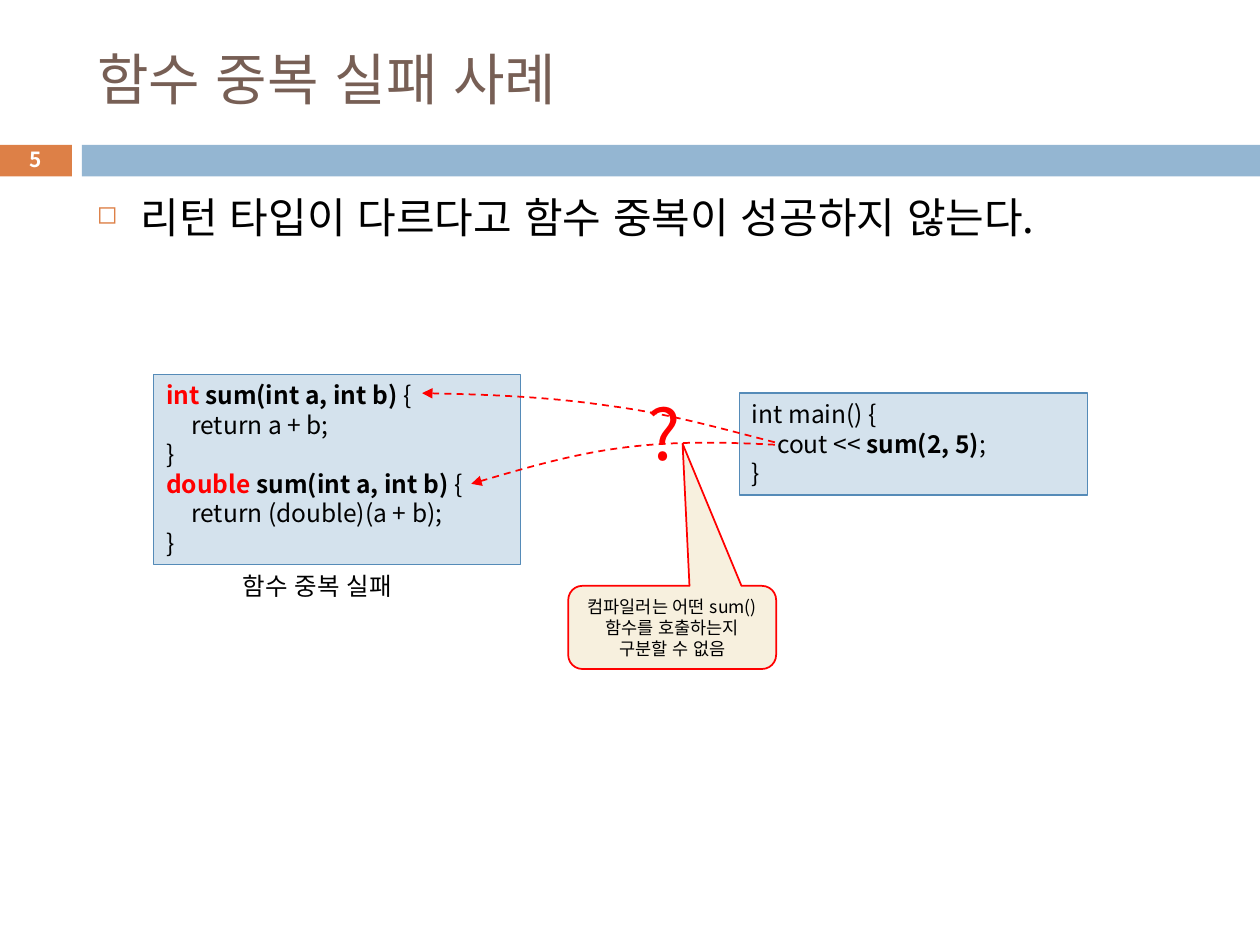
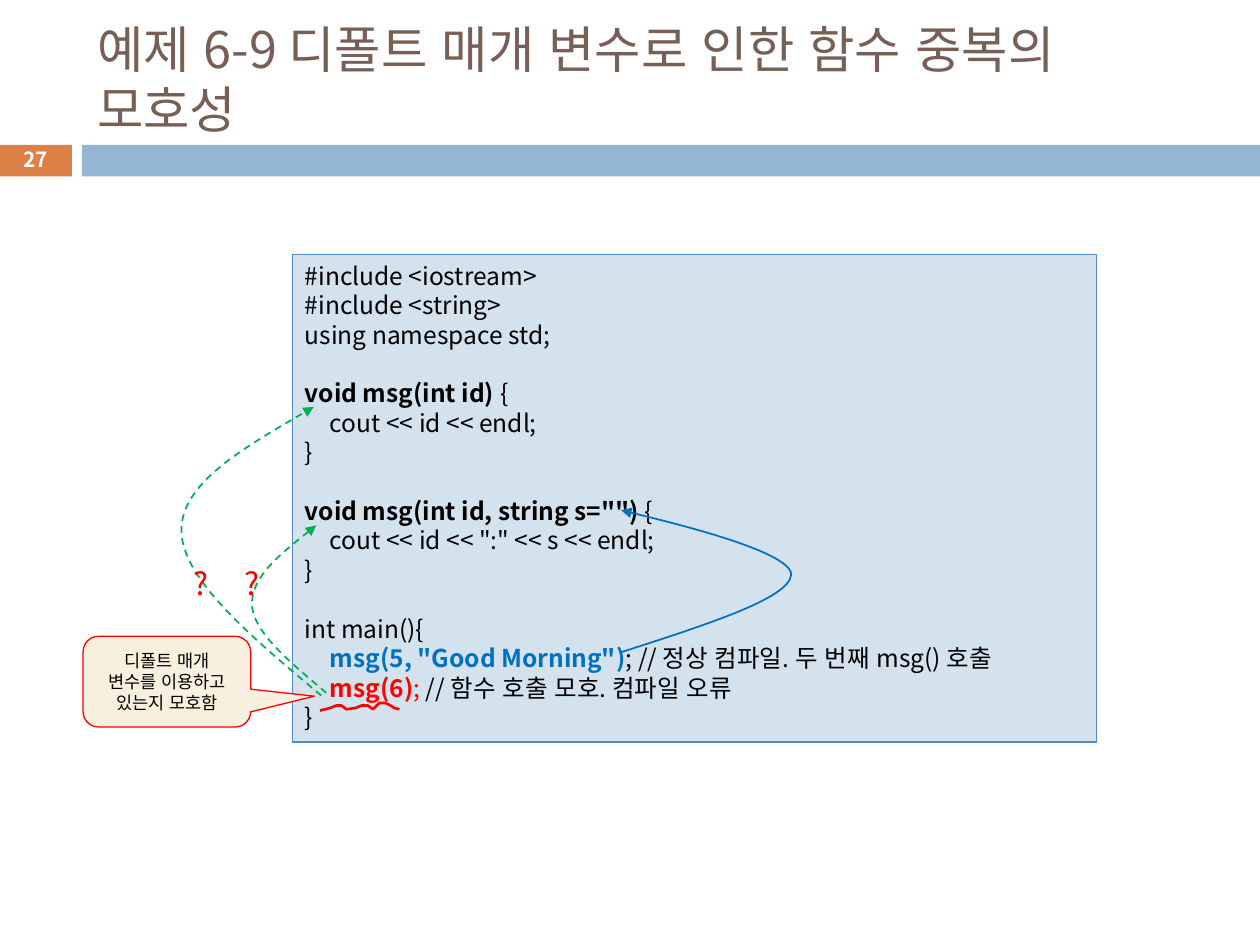
from dataclasses import dataclass

from lxml import etree
from pptx import Presentation
from pptx.dml.color import RGBColor
from pptx.enum.dml import MSO_LINE
from pptx.enum.lang import MSO_LANGUAGE_ID
from pptx.enum.shapes import MSO_SHAPE
from pptx.enum.text import MSO_ANCHOR, MSO_AUTO_SIZE, PP_ALIGN
from pptx.oxml.ns import qn
from pptx.util import Inches, Pt

RECT = MSO_SHAPE.RECTANGLE
CALLOUT = MSO_SHAPE.ROUNDED_RECTANGULAR_CALLOUT
DASH = MSO_LINE.DASH
KOREAN = MSO_LANGUAGE_ID.KOREAN
TOP, MIDDLE = MSO_ANCHOR.TOP, MSO_ANCHOR.MIDDLE
NO_FIT = MSO_AUTO_SIZE.NONE
LEFT, CENTER = PP_ALIGN.LEFT, PP_ALIGN.CENTER
TITLE_ONLY = 5
COLS, ROWS = 100, 75


@dataclass(frozen=True)
class Theme:
    font: str = "Noto Sans CJK KR"
    title: str = "775F55"
    orange: str = "DD8047"
    band: str = "94B6D2"
    code_fill: str = "D4E2ED"
    code_line: str = "558BB8"
    note_fill: str = "F7F0DE"
    black: str = "000000"
    white: str = "FFFFFF"
    red: str = "FF0000"
    blue: str = "0070C0"
    green: str = "00B050"
    title_pt: float = 32
    long_title_pt: float = 28.8
    body_pt: float = 24
    code_pt: float = 14
    note_pt: float = 10
    number_pt: float = 11.9
    mark_pt: float = 18
    big_mark_pt: float = 40
    leading: float = 1.2


def set_all(obj, **values):
    for name, value in values.items():
        setattr(obj, name, value)


class Deck:
    """Draws on the current slide; lengths are columns and rows of the grid."""

    def __init__(self, theme):
        self.theme = theme
        self.prs = Presentation()
        set_all(self.prs, slide_width=Inches(10), slide_height=Inches(7.5))
        self.s = None

    def x(self, cols):
        return round(self.prs.slide_width * cols / COLS)

    def y(self, rows):
        return round(self.prs.slide_height * rows / ROWS)

    def box(self, left, top, width, height):
        return self.x(left), self.y(top), self.x(width), self.y(height)

    def new_slide(self, title, number, size=None):
        t = self.theme
        self.s = self.prs.slides.add_slide(self.prs.slide_layouts[TITLE_ONLY])
        sp = self.s.shapes.title
        left, top, width, height = self.box(6.7, 2.5, 89.2, 7.4)
        set_all(sp, left=left, top=top, width=width, height=height)
        self.fill_text(sp, [title], size or t.title_pt, t.title, anchor=MIDDLE)
        self.shape((-0.1, 11.5, 5.8, 2.5), t.orange)
        self.shape((6.5, 11.5, 93.5, 2.5), t.band)
        self.text((-0.1, 11.3, 5.8, 2.7), [[(number, t.white, True)]],
                  t.number_pt, anchor=MIDDLE, align=CENTER)

    def fill_text(self, sp, lines, size, color=None, anchor=TOP, align=LEFT):
        """Fill sp with lines: a tab indents a line, an empty line adds space."""
        t = self.theme
        tf = sp.text_frame
        set_all(tf, word_wrap=True, auto_size=NO_FIT, vertical_anchor=anchor)
        leading = Pt(size * t.leading)
        gap, p = Pt(0), None
        for line in lines:
            if not line:
                gap = leading
                continue
            p = tf.add_paragraph() if p is not None else tf.paragraphs[0]
            set_all(p, alignment=align, line_spacing=leading, space_before=gap)
            gap = Pt(0)
            runs = [(line, color, False)] if isinstance(line, str) else line
            if runs[0][0].startswith("\t"):
                p._p.get_or_add_pPr().set("marL", str(Inches(0.2)))
            for text, run_color, bold in runs:
                self.run(p, text.lstrip("\t"), size, run_color or t.black, bold)

    def run(self, p, text, size, color, bold):
        r = p.add_run()
        r.text = text
        set_all(r.font, name=self.theme.font, size=Pt(size), bold=bold,
                language_id=KOREAN)
        r.font.color.rgb = RGBColor.from_string(color)
        latin = r.font._element.find(qn("a:latin"))
        ea = etree.Element(qn("a:ea"), typeface=self.theme.font)
        latin.addnext(ea)

    def shape(self, box, fill, line=None, weight=0.75, kind=RECT):
        sp = self.s.shapes.add_shape(kind, *self.box(*box))
        sp.shadow.inherit = False
        sp.fill.solid()
        sp.fill.fore_color.rgb = RGBColor.from_string(fill)
        if line:
            self.stroke(sp, line, weight)
        else:
            sp.line.fill.background()
        return sp

    def stroke(self, sp, color, weight, dash=None):
        sp.line.color.rgb = RGBColor.from_string(color)
        set_all(sp.line, width=Pt(weight), dash_style=dash)

    def text(self, box, lines, size, color=None, **fmt):
        sp = self.s.shapes.add_textbox(*self.box(*box))
        self.fill_text(sp, lines, size, color, **fmt)
        return sp

    def bullet(self, box, text):
        t = self.theme
        sp = self.text(box, [text], t.body_pt)
        pPr = sp.text_frame.paragraphs[0]._p.get_or_add_pPr()
        indent = Inches(0.35)
        pPr.set("marL", str(indent))
        pPr.set("indent", str(-indent))
        clr = etree.SubElement(pPr, qn("a:buClr"))
        etree.SubElement(clr, qn("a:srgbClr"), val=t.orange)
        etree.SubElement(pPr, qn("a:buSzPct"), val="60000")
        etree.SubElement(pPr, qn("a:buChar"), char="◻")

    def code(self, box, lines):
        t = self.theme
        sp = self.shape(box, t.code_fill, t.code_line)
        self.fill_text(sp, lines, t.code_pt)

    def callout(self, box, text, tip, weight):
        t = self.theme
        sp = self.shape(box, t.note_fill, t.red, weight, CALLOUT)
        for i, value in enumerate(tip):
            sp.adjustments[i] = value
        self.fill_text(sp, [text], t.note_pt, anchor=MIDDLE, align=CENTER)

    def outline(self, points, color, weight, dash=None):
        """Open line through the points, without fill."""
        pts = [(self.x(col), self.y(row)) for col, row in points]
        fb = self.s.shapes.build_freeform(*pts[0])
        fb.add_line_segments(pts[1:], close=False)
        sp = fb.convert_to_shape()
        sp.shadow.inherit = False
        sp.fill.background()
        self.stroke(sp, color, weight, dash)
        return sp

    def curved_arrow(self, points, color, dash=None):
        """Bezier arrow: a start, then two handles and an end per segment."""
        sp = self.outline(points, color, 1, dash)
        steps = list(sp._element.iter(qn("a:lnTo")))
        for i in range(0, len(steps), 3):
            curve = etree.Element(qn("a:cubicBezTo"))
            steps[i].addprevious(curve)
            for step in steps[i:i + 3]:
                curve.append(step[0])
                step.getparent().remove(step)
        ln = sp.line._get_or_add_ln()
        etree.SubElement(ln, qn("a:tailEnd"), type="triangle")


def overload_failure(deck):
    t = deck.theme
    deck.new_slide("함수 중복 실패 사례", "5")
    deck.bullet((6.7, 14.7, 89.2, 55.1),
                "리턴 타입이 다르다고 함수 중복이 성공하지 않는다.")

    def signature(return_type):
        return [(return_type, t.red, True), ("sum(int a, int b) ", t.black, True),
                ("{", t.black, False)]

    deck.code((12.2, 29.7, 29.1, 15.1), [
        signature("int "), "\treturn a + b;", "}",
        signature("double "), "\treturn (double)(a + b);", "}"])
    deck.code((58.7, 31.2, 27.6, 8.1), [
        "int main() {",
        [("\tcout << ", t.black, False), ("sum(2, 5)", t.black, True),
         (";", t.black, False)],
        "}"])
    deck.text((18.3, 44.8, 15.2, 3.4), ["함수 중복 실패"], t.code_pt)
    for points in (
            [(61.5, 35.1), (57.2, 34), (53, 32.8), (48.3, 32.2),
             (43.6, 31.5), (38.5, 31.3), (33.5, 31.2)],
            [(61.5, 35.3), (57.6, 35.1), (53.7, 35), (49.7, 35.5),
             (45.6, 36), (41.5, 37.2), (37.4, 38.4)]):
        deck.curved_arrow(points, t.red, DASH)
    deck.callout((45.1, 46.5, 16.5, 6.6),
                 "컴파일러는 어떤 sum() 함수를 호출하는지 구분할 수 없음",
                 (0.05, -2.21, 0.17), 1)
    deck.text((50.4, 30.5, 4.6, 7.7), ["?"], t.big_mark_pt, t.red)


def default_argument_ambiguity(deck):
    t = deck.theme
    deck.new_slide("예제 6-9 디폴트 매개 변수로 인한 함수 중복의 모호성", "27",
                   t.long_title_pt)

    def signature(text):
        return [(text, t.black, True), ("{", t.black, False)]

    deck.code((23.2, 20.2, 63.8, 38.7), [
        "#include <iostream>", "#include <string>", "using namespace std;", "",
        signature("void msg(int id) "), "\tcout << id << endl;", "}", "",
        signature('void msg(int id, string s="") '),
        '\tcout << id << ":" << s << endl;', "}", "",
        "int main(){",
        [('\tmsg(5, "Good Morning")', t.blue, True),
         ("; // 정상 컴파일. 두 번째 msg() 호출", t.black, False)],
        [("\tmsg(6)", t.red, True), ("; ", t.red, False),
         ("// 함수 호출 모호. 컴파일 오류", t.black, False)],
        "}"])
    deck.curved_arrow([(49.2, 51.8), (56, 49.6), (62.7, 47.5), (62.8, 45.6),
                       (62.8, 43.7), (49.3, 40.5), (49.3, 40.5)], t.blue)
    for points in (
            [(25.9, 55), (23.1, 52.6), (20.2, 50.3), (20, 48.1),
             (19.9, 45.8), (22.5, 43.8), (25.1, 41.7)],
            [(25.5, 55.2), (20, 50.6), (14.5, 46), (14.4, 42.2),
             (14.3, 38.4), (19.6, 35.4), (24.9, 32.3)]):
        deck.curved_arrow(points, t.green, DASH)
    deck.callout((6.6, 50.5, 13.3, 7.2),
                 "디폴트 매개 변수를 이용하고 있는지 모호함",
                 (0.88, 0.16, 0.17), 0.75)
    for left in (14.4, 18.4):
        deck.text((left, 44.3, 3.2, 4), ["?"], t.mark_pt, t.red)
    squiggle = [(25.4, 56.4), (26.2, 56.2), (26.7, 56), (27.1, 56), (27.5, 56.3),
                (28.2, 56.2), (28.7, 56), (29.2, 56), (29.6, 56.3), (30.1, 55.8),
                (30.6, 55.8), (31, 56), (31.3, 56.2), (31.7, 56.3)]
    deck.outline(squiggle, t.red, 1.5)


def main():
    deck = Deck(Theme())
    overload_failure(deck)
    default_argument_ambiguity(deck)
    deck.prs.save("out.pptx")


if __name__ == "__main__":
    main()
